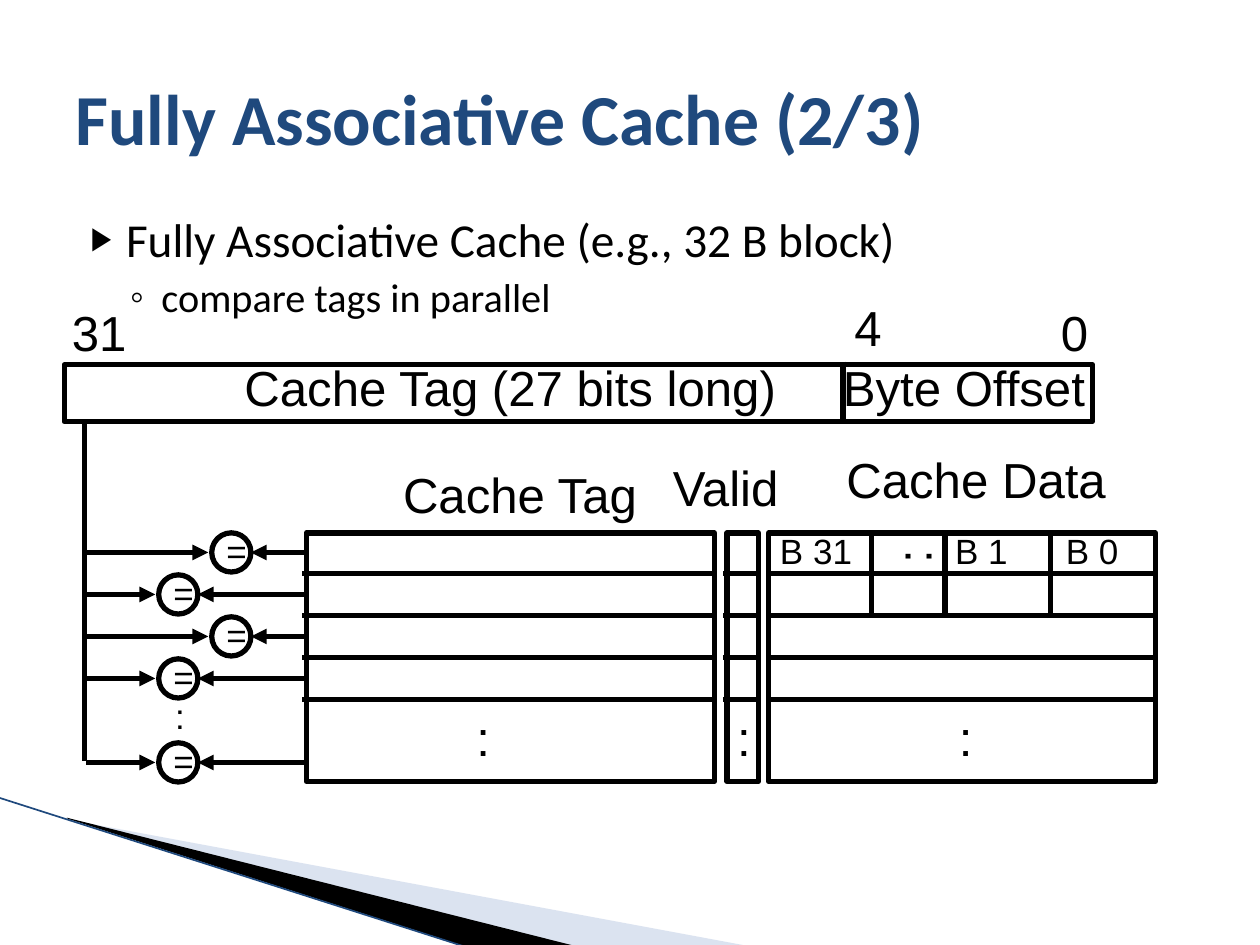
from lxml import etree
from pptx import Presentation
from pptx.dml.color import RGBColor
from pptx.enum.shapes import MSO_CONNECTOR, MSO_SHAPE
from pptx.enum.text import MSO_ANCHOR, MSO_AUTO_SIZE, PP_ALIGN
from pptx.oxml.ns import qn
from pptx.util import Pt

STRAIGHT = MSO_CONNECTOR.STRAIGHT
RECTANGLE, OVAL = MSO_SHAPE.RECTANGLE, MSO_SHAPE.OVAL
LEFT, TOP, MIDDLE = PP_ALIGN.LEFT, MSO_ANCHOR.TOP, MSO_ANCHOR.MIDDLE
FIT_TEXT = MSO_AUTO_SIZE.SHAPE_TO_FIT_TEXT

COLORS = {"ink": "000000", "title": "1F497D", "wedge": "A7B9DB", "edge": "1F497D"}
COLORS = {name: RGBColor.from_string(value) for name, value in COLORS.items()}
LABEL_FRAME = {"margin_left": Pt(2.9), "margin_right": Pt(2.9),
               "margin_top": Pt(2.9), "margin_bottom": Pt(2.9),
               "word_wrap": False, "auto_size": FIT_TEXT, "vertical_anchor": TOP}
LARGE, SMALL = 28.1, 20


def add_line(x1, y1, x2, y2, arrow=False, color="ink", width=3):
    line = page.shapes.add_connector(STRAIGHT, Pt(x1), Pt(y1), Pt(x2), Pt(y2))
    line.line.color.rgb = COLORS[color]
    line.line.width = Pt(width)
    properties = line.element.spPr
    if arrow:
        etree.SubElement(properties.find(qn("a:ln")), qn("a:tailEnd"), type="triangle")
    etree.SubElement(properties, qn("a:effectLst"))
    return line


def add_label(text, left, top, width, size=LARGE):
    height = 37.4 if size == LARGE else 28.1
    box = page.shapes.add_textbox(Pt(left), Pt(top), Pt(width), Pt(height))
    for name, value in LABEL_FRAME.items():
        setattr(box.text_frame, name, value)
    para = box.text_frame.paragraphs[0]
    para.line_spacing = 0.93
    span = para.add_run()
    span.text = text
    span.font.name = "Arial"
    span.font.size = Pt(size)
    span.font.color.rgb = COLORS["ink"]
    return box


deck = Presentation()
deck.slide_width, deck.slide_height = Pt(720), Pt(540)
page = deck.slides.add_slide(deck.slide_layouts[1])
title, body = page.placeholders

# Decorative wedges in the bottom corner, behind everything else
wedges = [
    ("wedge", [(39.6, 468.5), (428.4, 540.7), (328.3, 540.7), (39.6, 468)]),
    ("ink", [(38.2, 467.3), (329, 540.7), (267.8, 541.4), (38.9, 468)]),
]
for color, points in wedges:
    corners = [(Pt(x), Pt(y)) for x, y in points]
    builder = page.shapes.build_freeform(*corners[0], scale=1.0)
    builder.add_line_segments(corners[1:], close=True)
    wedge = builder.convert_to_shape()
    wedge.shadow.inherit = False
    wedge.fill.solid()
    wedge.fill.fore_color.rgb = COLORS[color]
    wedge.line.fill.background()
    if color == "wedge":
        fill_color = wedge.element.spPr.find(qn("a:solidFill"))[0]
        etree.SubElement(fill_color, qn("a:alpha"), val="40000")
    title.element.addprevious(wedge.element)
edge = add_line(-0.7, 455.8, 267.1, 541.4, color="edge", width=0.95)
title.element.addprevious(edge.element)

# Title
title.left, title.top, title.width, title.height = Pt(36), Pt(21.6), Pt(648), Pt(90)
title.text_frame.text = "Fully Associative Cache (2/3)"
title.text_frame.vertical_anchor = MIDDLE
para = title.text_frame.paragraphs[0]
para.alignment = LEFT
title_font = {"name": "Calibri", "size": Pt(41), "bold": True}
for name, value in title_font.items():
    setattr(para.font, name, value)
para.font.color.rgb = COLORS["title"]

# Bulleted list
body.left, body.top, body.width, body.height = Pt(36), Pt(116.6), Pt(648), Pt(356.4)
items = [  # text, size, space before, left margin, indent, bullet, bullet size
    ("Fully Associative Cache (e.g., 32 B block)", 27, 4, 28.8, -20.2, "▶", 68),
    ("compare tags in parallel", 23, 3.2, 49, -18, "◦", 100),
]
body.text_frame.text = "\n".join(item[0] for item in items)
for level, (para, item) in enumerate(zip(body.text_frame.paragraphs, items)):
    text, size, before, margin, indent, bullet, bullet_size = item
    para.level = level
    para.space_before = Pt(before)
    para.font.name = "Calibri"
    para.font.size = Pt(size)
    para.font.color.rgb = COLORS["ink"]
    properties = para._p.get_or_add_pPr()
    properties.set("marL", str(Pt(margin)))
    properties.set("indent", str(Pt(indent)))
    marks = [etree.Element(qn("a:buClr")),
             etree.Element(qn("a:buSzPct"), val=str(bullet_size * 1000)),
             etree.Element(qn("a:buChar"), char=bullet)]
    etree.SubElement(marks[0], qn("a:srgbClr"), val=str(COLORS["ink"]))
    for mark in marks:
        properties.find(qn("a:defRPr")).addprevious(mark)

# Outlines: address bar, three cache columns, comparator circles
ROW_TOP, PITCH, CIRCLE = 304.5, 24, 22.4
circles = [(row, left, ROW_TOP + row * PITCH)
           for row, left in [(0, 121), (1, 90.7), (2, 121), (3, 90.7), (5, 90.7)]]
columns = [  # left, width, left end and right end of the row lines
    (175, 233.3, 172.8, 409),
    (415.4, 18, 413.3, 433.4),
    (439.2, 221, 439.2, 659.5),
]
outlines = [(RECTANGLE, 36.7, 208.5, 587.5, 32.4)]
outlines += [(RECTANGLE, left, ROW_TOP, width, 142) for left, width, *ends in columns]
outlines += [(OVAL, left, top, CIRCLE, CIRCLE) for row, left, top in circles]
for kind, *place in outlines:
    shape = page.shapes.add_shape(kind, *map(Pt, place))
    shape.shadow.inherit = False
    shape.fill.background()
    shape.line.color.rgb = COLORS["ink"]
    shape.line.width = Pt(3)

# Row lines, block dividers, address divider and tag bus
for row in range(4):
    y = 327.6 + row * PITCH
    for left, width, start, end in columns:
        add_line(start, y, end, y)
for x in (498.2, 540, 600.5):
    for y in (ROW_TOP, 328.5):
        add_line(x, y, x, y + 22)
add_line(481.7, 206.6, 481.7, 241.2)
add_line(48.2, 239.8, 48.2, 434.9)

# Comparators, each fed by the bus and by one stored tag
for row, left, top in circles:
    y = top + CIRCLE / 2
    add_line(49, y, left - 2, y, arrow=True)
    add_line(175, y, left + CIRCLE, y, arrow=True)
    add_label("=", left + 5.5, top - 2.9, 17.3, SMALL)

# Labels
labels = [
    ("31", 38.2, 172.8, 44), ("4", 485.3, 169.9, 21.6), ("0", 603.4, 172.8, 21.6),
    ("Cache Tag (27 bits long)", 136.8, 204.5, 320),
    ("Byte Offset", 478.8, 204.5, 150),
    ("Cache Tag", 227.4, 265.7, 146), ("Valid", 381.6, 261.4, 70),
    ("Cache Data", 480.8, 257, 160),
    ("B 31", 442.8, 301.7, 54, SMALL), ("B 1", 542.9, 301.7, 40, SMALL),
    ("B 0", 606.2, 301.7, 40, SMALL), (":", 97.2, 396, 10.8, SMALL),
]
labels += [(":", left, 404.6, 13.7) for left in (269.3, 418.3, 545)]
for label in labels:
    add_label(*label)
add_label(":", 516.2, 299.5, 13.7).rotation = 270

deck.save("out.pptx")
